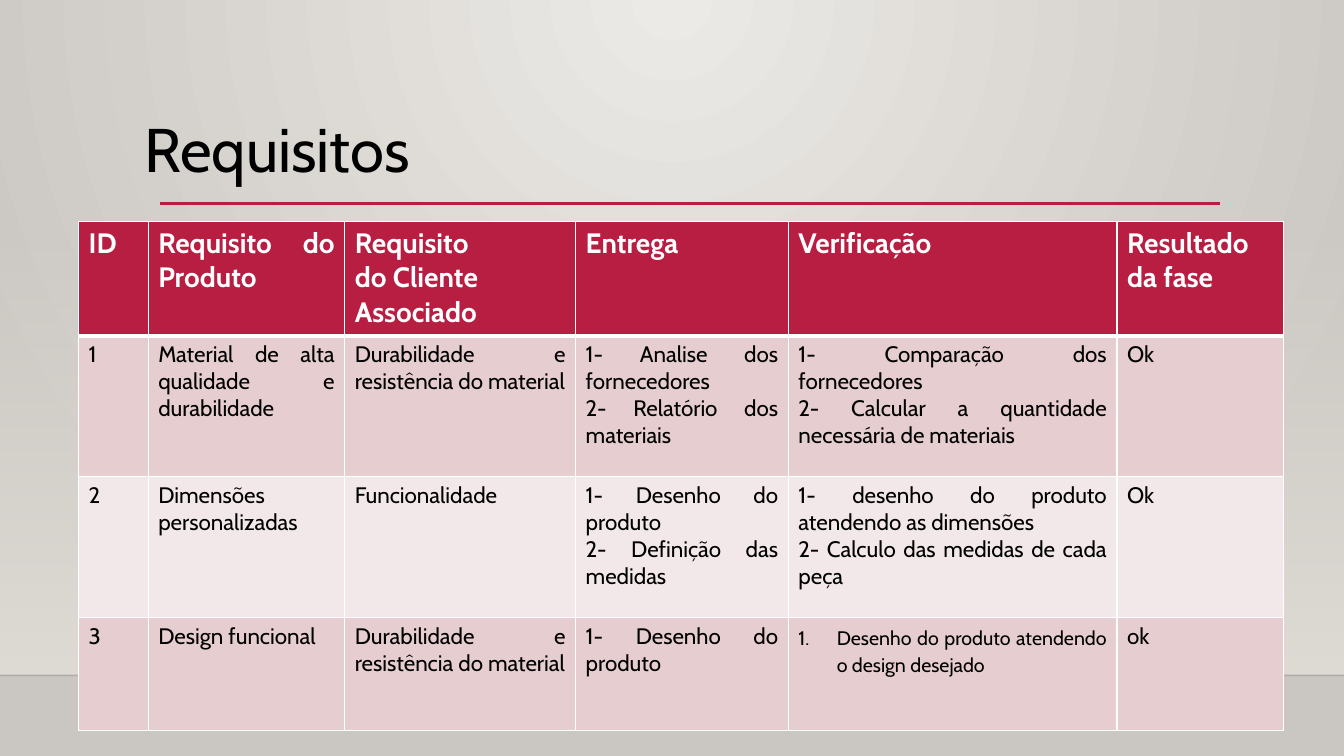
from lxml import etree
from pptx import Presentation
from pptx import util as u
from pptx.dml.color import RGBColor
from pptx.enum import shapes, text
from pptx.oxml import parse_xml
from pptx.oxml.ns import nsdecls, qn

PX = 9144  # 100 px to the inch
FONT = "Cabin"
RED, WHITE, BLACK, SAND = "B71E42", "FFFFFF", "000000", "DFDBD5"
BANDS = ["E6CDCF", "F3E8E9"]


def rgb(value):
    return RGBColor.from_string(value)


def write(para, words, size, color, bold=False):
    span = para.add_run()
    span.text = words
    span.font.name = FONT
    span.font.size = u.Pt(size)
    span.font.bold = bold
    span.font.color.rgb = rgb(color)


deck = Presentation()
deck.slide_width, deck.slide_height = 1333 * PX, 750 * PX
page = deck.slides.add_slide(deck.slide_layouts[5])

# Background: radial gradient from the top centre
page.background.fill.solid()
solid = page.background._cSld.find(".//" + qn("a:solidFill"))
solid.getparent().replace(solid, parse_xml(
    f'<a:gradFill {nsdecls("a")} rotWithShape="1"><a:gsLst>'
    '<a:gs pos="0"><a:srgbClr val="ECEAE7"/></a:gs>'
    '<a:gs pos="100000"><a:srgbClr val="CAC6C1"/></a:gs></a:gsLst>'
    '<a:path path="circle"><a:fillToRect l="50000" r="50000" b="100000"/></a:path>'
    '</a:gradFill>'))

# Wall that fades in towards the floor
wall = page.shapes.add_shape(shapes.MSO_SHAPE.RECTANGLE, 0, 221 * PX, 1333 * PX, 449 * PX)
wall.shadow.inherit = False
wall.line.fill.background()
wall.fill.gradient()
wall.fill.gradient_angle = 270
for stop in wall.fill.gradient_stops:
    stop.color.rgb = rgb(SAND)
clear = wall.fill.gradient_stops[0]
clear.position = 0
wall.fill.gradient_stops[1].position = 1
etree.SubElement(wall._element.spPr.find(".//" + qn("a:srgbClr")), qn("a:alpha"), val="0")

# Floor edge and title rule: left, right, y, colour, width, opacity
for left, right, y, color, width, opacity in [
    (0, 1333, 670, BLACK, 1, 20),
    (159, 1210, 202, RED, 2.5, 100),
]:
    rule = page.shapes.add_connector(
        shapes.MSO_CONNECTOR.STRAIGHT, left * PX, y * PX, right * PX, y * PX)
    rule.line.color.rgb = rgb(color)
    rule.line.width = u.Pt(width)
    tint = rule._element.spPr.find(".//" + qn("a:srgbClr"))
    etree.SubElement(tint, qn("a:alpha"), val=str(opacity * 1000))
    etree.SubElement(rule._element.spPr, qn("a:effectLst"))

title = page.shapes.title
title.left, title.top, title.width, title.height = 143 * PX, 78 * PX, 1066 * PX, 221 * PX
frame = title.text_frame
frame.margin_left = frame.margin_top = frame.margin_right = 0
frame.margin_bottom = 74 * PX
frame.vertical_anchor = text.MSO_ANCHOR.MIDDLE
frame.word_wrap = True
heading = frame.paragraphs[0]
heading.alignment = text.PP_ALIGN.LEFT
heading.line_spacing = 0.9
write(heading, "Requisitos", 44, BLACK)

# Requirements table: a line break inside a cell starts a new paragraph
columns = [69, 195, 229, 211, 326, 165]
heights = [113, 140, 140, 112]
rows = [
    ["ID", "Requisito do Produto", "Requisito\ndo Cliente\nAssociado", "Entrega",
     "Verificação", "Resultado\nda fase"],
    ["1", "Material de alta qualidade e durabilidade",
     "Durabilidade e resistência do material",
     "1- Analise dos fornecedores\n2- Relatório dos materiais",
     "1- Comparação dos fornecedores\n2- Calcular a quantidade necessária de materiais", "Ok"],
    ["2", "Dimensões personalizadas", "Funcionalidade",
     "1- Desenho do produto\n2- Definição das medidas",
     "1- desenho do produto atendendo as dimensões\n2- Calculo das medidas de cada peça", "Ok"],
    ["3", "Design funcional", "Durabilidade e resistência do material",
     "1- Desenho do produto", "Desenho do produto atendendo o design desejado", "ok"],
]
table = page.shapes.add_table(
    len(rows), len(columns), 78 * PX, 220 * PX, sum(columns) * PX, sum(heights) * PX).table
for column, width in zip(table.columns, columns):
    column.width = width * PX
for r, (row, height) in enumerate(zip(rows, heights)):
    table.rows[r].height = height * PX
    header = r == 0
    thick_side = {0: "lnB", 1: "lnT"}.get(r)
    for c, words in enumerate(row):
        cell = table.cell(r, c)
        for side in ["lnL", "lnR", "lnT", "lnB"]:
            points = 3 if side == thick_side else 1
            cell._tc.get_or_add_tcPr().append(parse_xml(
                f'<a:{side} {nsdecls("a")} w="{points * 12700}"><a:solidFill>'
                f'<a:srgbClr val="{WHITE}"/></a:solidFill></a:{side}>'))
        cell.fill.solid()
        cell.fill.fore_color.rgb = rgb(RED if header else BANDS[(r - 1) % 2])
        numbered = (r, c) == (3, 4)
        for i, line in enumerate(words.split("\n")):
            para = cell.text_frame.paragraphs[0] if i == 0 else cell.text_frame.add_paragraph()
            para.alignment = text.PP_ALIGN.JUSTIFY
            size = 20 if header else 14 if numbered else 16
            write(para, line, size, WHITE if header else BLACK, bold=header)
            if numbered:
                para.line_spacing = 1.15
                para.space_after = u.Pt(10)
                props = para._p.get_or_add_pPr()
                props.set("marL", str(38 * PX))
                props.set("indent", str(-38 * PX))
                etree.SubElement(props, qn("a:buFont"), typeface="+mj-lt")
                etree.SubElement(props, qn("a:buAutoNum"), type="arabicPeriod")

deck.save("out.pptx")
